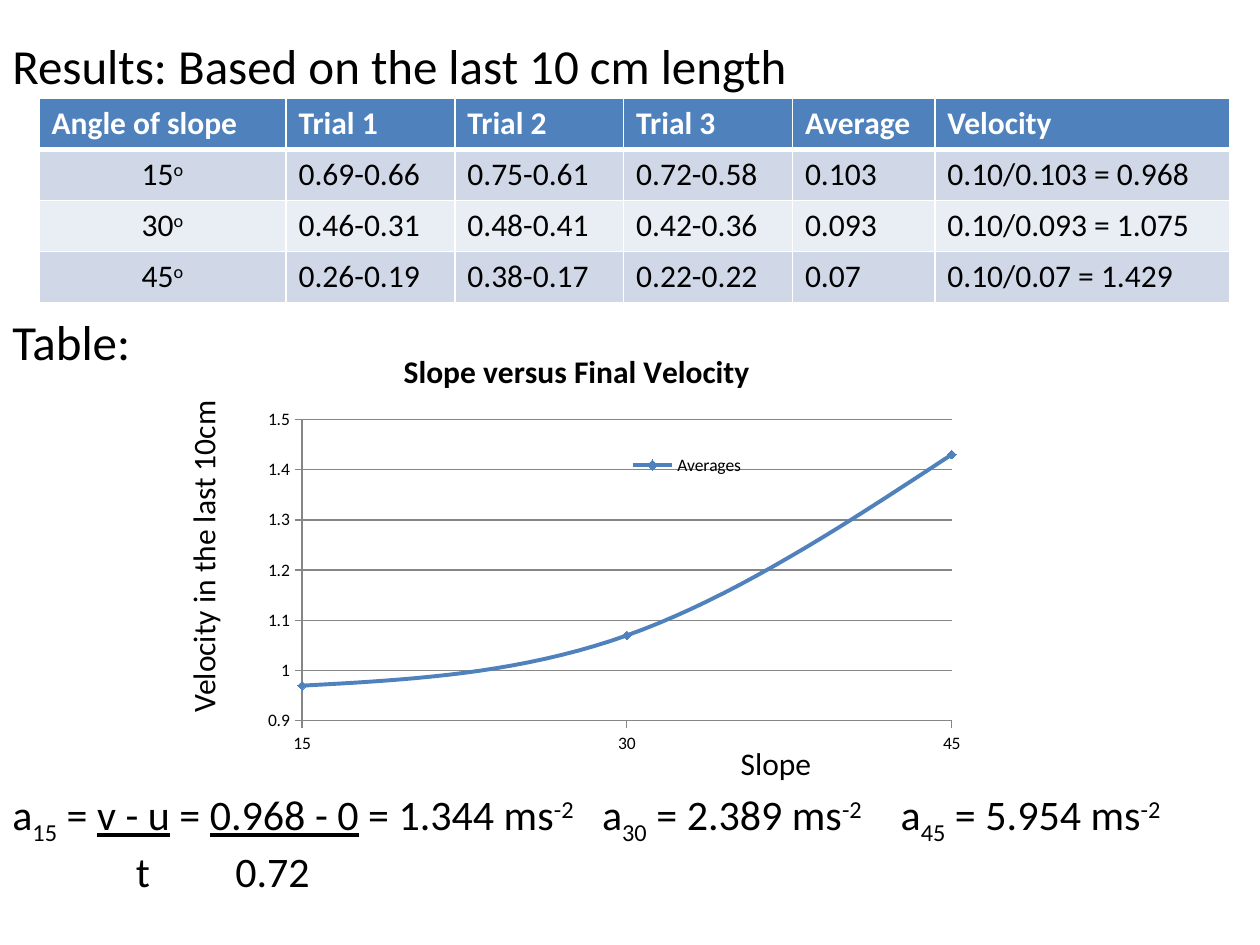
from lxml import etree
from pptx import Presentation
from pptx.chart.data import XyChartData
from pptx.dml.color import RGBColor
from pptx.enum.chart import (XL_AXIS_CROSSES, XL_CHART_TYPE, XL_LEGEND_POSITION,
                             XL_MARKER_STYLE, XL_TICK_MARK)
from pptx.enum.text import PP_ALIGN
from pptx.oxml.ns import qn
from pptx.util import Inches, Pt

FONT = "Calibri"
BLACK = RGBColor(0x00, 0x00, 0x00)
WHITE = RGBColor(0xFF, 0xFF, 0xFF)
BLUE = RGBColor(0x4F, 0x81, 0xBD)
BAND_DARK = RGBColor(0xD0, 0xD8, 0xE8)
BAND_LIGHT = RGBColor(0xE9, 0xED, 0xF4)
GREY = RGBColor(0x86, 0x86, 0x86)

CENTER = PP_ALIGN.CENTER
OUTSIDE = XL_TICK_MARK.OUTSIDE
SCATTER = XL_CHART_TYPE.XY_SCATTER_SMOOTH
DIAMOND = XL_MARKER_STYLE.DIAMOND
LEGEND_RIGHT = XL_LEGEND_POSITION.RIGHT
AT_MINIMUM = XL_AXIS_CROSSES.MINIMUM

SUB, SUPER, UNDERLINE = "sub", "super", "underline"
BASELINES = {SUB: "-25000", SUPER: "30000"}

HEADERS = ["Angle of slope", "Trial 1", "Trial 2", "Trial 3", "Average", "Velocity"]
TRIALS = [
    ["15", "0.69-0.66", "0.75-0.61", "0.72-0.58", "0.103", "0.10/0.103 = 0.968"],
    ["30", "0.46-0.31", "0.48-0.41", "0.42-0.36", "0.093", "0.10/0.093 = 1.075"],
    ["45", "0.26-0.19", "0.38-0.17", "0.22-0.22", "0.07", "0.10/0.07 = 1.429"],
]
COLUMN_WIDTHS = [1.96, 1.34, 1.34, 1.34, 1.13, 2.34]
TABLE_HEIGHT = 1.62
FINAL_VELOCITIES = [(15, 0.97), (30, 1.07), (45, 1.43)]

ACCELERATIONS = [
    ("a", None), ("15", SUB), (" = ", None), ("v - u", UNDERLINE), (" = ", None),
    ("0.968 - 0", UNDERLINE), (" = 1.344 ms", None), ("-2", SUPER),
    ("\ta", None), ("30", SUB), (" = 2.389 ms", None), ("-2", SUPER),
    ("\ta", None), ("45", SUB), (" = 5.954 ms", None), ("-2", SUPER),
]
DENOMINATORS = [("\tt\t0.72", None)]


def style_font(font, size, color=BLACK, bold=False):
    font.name = FONT
    font.size = Pt(size)
    font.bold = bold
    font.color.rgb = color


def add_runs(paragraph, runs):
    for text, style in runs:
        run = paragraph.add_run()
        run.text = text
        if style == UNDERLINE:
            run.font.underline = True
        elif style:
            run._r.get_or_add_rPr().set("baseline", BASELINES[style])


def add_text(slide, text, left, top, width, height, size, wrap=True):
    box = slide.shapes.add_textbox(Inches(left), Inches(top), Inches(width), Inches(height))
    box.text_frame.word_wrap = wrap
    paragraph = box.text_frame.paragraphs[0]
    paragraph.text = text
    style_font(paragraph.font, size)
    return box


def set_tabs(paragraph, positions):
    tabs = etree.SubElement(paragraph._p.get_or_add_pPr(), qn("a:tabLst"))
    for position in positions:
        etree.SubElement(tabs, qn("a:tab"), pos=str(Inches(position)), algn="l")


def add_equations(slide):
    box = slide.shapes.add_textbox(Inches(0), Inches(6.21), Inches(10), Inches(1))
    frame = box.text_frame
    frame.word_wrap = True
    lines = [(ACCELERATIONS, [4.68, 7.05]), (DENOMINATORS, [0.98, 1.77])]
    for index, (runs, tabs) in enumerate(lines):
        paragraph = frame.add_paragraph() if index else frame.paragraphs[0]
        set_tabs(paragraph, tabs)
        style_font(paragraph.font, 24)
        add_runs(paragraph, runs)


def set_borders(cell, bottom_width):
    properties = cell._tc.get_or_add_tcPr()
    widths = {"a:lnL": 1, "a:lnR": 1, "a:lnT": 1, "a:lnB": bottom_width}
    for index, (side, width) in enumerate(widths.items()):
        line = etree.Element(qn(side), w=str(Pt(width)))
        fill = etree.SubElement(line, qn("a:solidFill"))
        etree.SubElement(fill, qn("a:srgbClr"), val=str(WHITE))
        properties.insert(index, line)


def add_results_table(slide):
    rows = [HEADERS] + TRIALS
    table = slide.shapes.add_table(
        len(rows), len(HEADERS), Inches(0.31), Inches(0.78),
        Inches(sum(COLUMN_WIDTHS)), Inches(TABLE_HEIGHT)).table
    for column, width in zip(table.columns, COLUMN_WIDTHS):
        column.width = Inches(width)
    for r, values in enumerate(rows):
        header = r == 0
        band = BLUE if header else (BAND_DARK if r % 2 else BAND_LIGHT)
        for c, value in enumerate(values):
            cell = table.cell(r, c)
            cell.fill.solid()
            cell.fill.fore_color.rgb = band
            set_borders(cell, 3 if header else 1)
            paragraph = cell.text_frame.paragraphs[0]
            style_font(paragraph.font, 18, WHITE if header else BLACK, header)
            is_angle = c == 0 and not header
            if is_angle:
                paragraph.alignment = CENTER
            add_runs(paragraph, [(value, None)] + ([("o", SUPER)] if is_angle else []))


def place(element, successors, inner=False, **fractions):
    """Give a chart part a manual layout, in fractions of the chart area."""
    for old in element.findall(qn("c:layout")):
        element.remove(old)
    layout = etree.Element(qn("c:layout"))
    manual = etree.SubElement(layout, qn("c:manualLayout"))
    if inner:
        etree.SubElement(manual, qn("c:layoutTarget"), val="inner")
    for key in ("x", "y"):
        etree.SubElement(manual, qn(f"c:{key}Mode"), val="edge")
    for key, value in fractions.items():
        etree.SubElement(manual, qn(f"c:{key}"), val=str(value))
    following = [child for child in element if child.tag in map(qn, successors)]
    if following:
        following[0].addprevious(layout)
    else:
        element.append(layout)


def smooth(series):
    """Draw a scatter series as a curve; smooth is the last child it may have."""
    for old in series._element.findall(qn("c:smooth")):
        series._element.remove(old)
    etree.SubElement(series._element, qn("c:smooth"), val="1")


def style_axis(axis, low, high, step):
    axis.minimum_scale, axis.maximum_scale, axis.major_unit = low, high, step
    axis.major_tick_mark = OUTSIDE
    axis.crosses = AT_MINIMUM
    axis.has_major_gridlines = False
    axis.format.line.color.rgb = GREY
    axis.tick_labels.number_format = "General"
    axis.tick_labels.number_format_is_linked = False


def add_velocity_chart(slide):
    data = XyChartData()
    averages = data.add_series("Averages")
    for slope, velocity in FINAL_VELOCITIES:
        averages.add_data_point(slope, velocity)
    chart = slide.shapes.add_chart(SCATTER, Inches(1.87), Inches(2.66),
                                   Inches(5.86), Inches(3.52), data).chart
    style_font(chart.font, 10)

    chart.has_title = True
    title = chart.chart_title.text_frame.paragraphs[0]
    title.text = "Slope versus Final Velocity"
    style_font(title.font, 18, bold=True)
    place(chart.chart_title._element, ["c:overlay"], x=0.22, y=0.02)

    chart.has_legend = True
    chart.legend.position = LEGEND_RIGHT
    chart.legend.include_in_layout = False
    place(chart.legend._element, ["c:overlay", "c:txPr"], x=0.53, y=0.26)

    style_axis(chart.category_axis, 15, 45, 15)
    style_axis(chart.value_axis, 0.9, 1.5, 0.1)
    chart.value_axis.has_major_gridlines = True
    chart.value_axis.major_gridlines.format.line.color.rgb = GREY

    plot = chart.plots[0]
    plot.vary_by_categories = False
    place(plot._element.getparent(), ["c:scatterChart"], inner=True,
          x=0.09, y=0.19, w=0.88, h=0.68)
    curve = plot.series[0]
    smooth(curve)
    curve.format.line.color.rgb = BLUE
    curve.format.line.width = Pt(2.25)
    curve.marker.style = DIAMOND
    curve.marker.size = 5
    curve.marker.format.fill.solid()
    curve.marker.format.fill.fore_color.rgb = BLUE
    curve.marker.format.line.color.rgb = BLUE


def main():
    deck = Presentation()
    deck.slide_width, deck.slide_height = Inches(10), Inches(7.5)
    slide = deck.slides.add_slide(deck.slide_layouts[6])
    add_velocity_chart(slide)
    add_text(slide, "Results: Based on the last 10 cm length", 0, 0.23, 10, 0.53, 28)
    add_text(slide, "Table:", 0, 2.42, 1.5, 0.53, 28)
    add_equations(slide)
    add_results_table(slide)
    add_text(slide, "Slope", 5.78, 5.86, 0.77, 0.4, 18, wrap=False)
    velocity_label = add_text(slide, "Velocity in the last 10cm",
                              0.26, 4.2, 2.7, 0.4, 18, wrap=False)
    velocity_label.rotation = 270
    deck.save("out.pptx")


if __name__ == "__main__":
    main()
